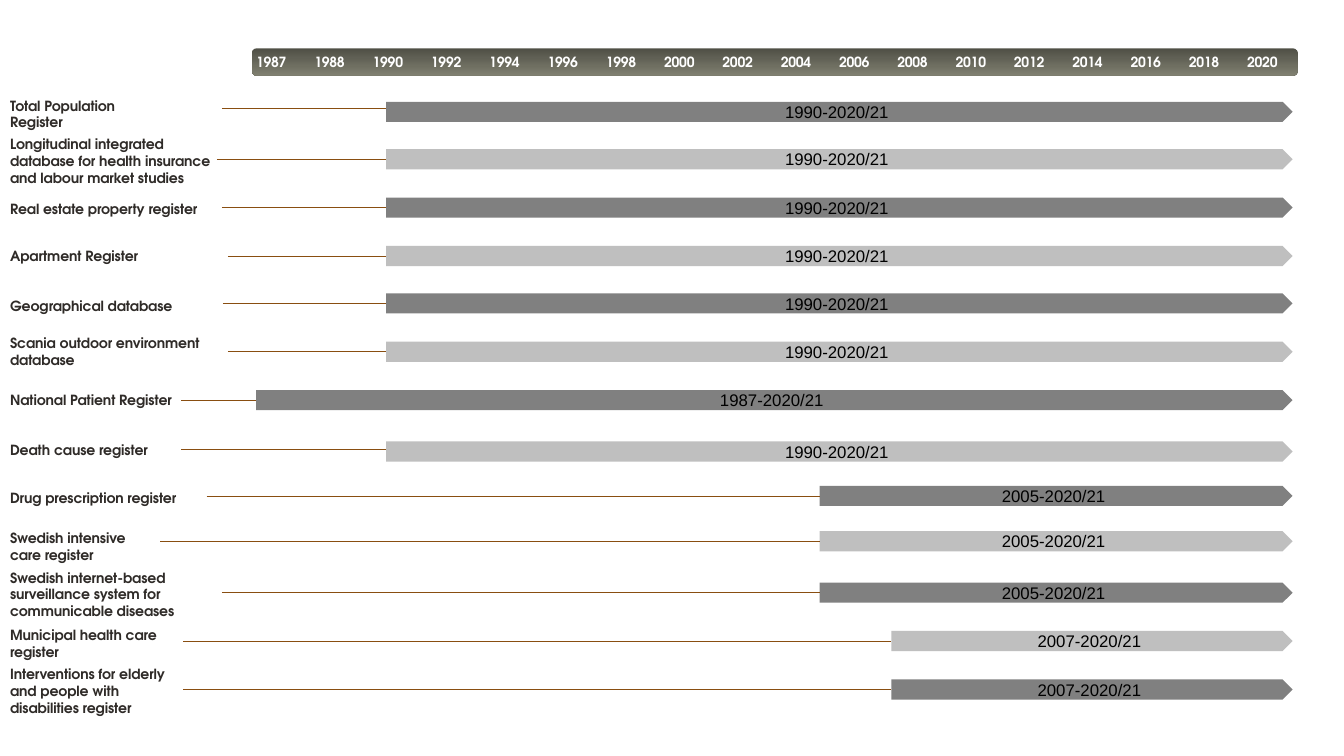
"""Build a timeline slide of the years covered by each Swedish register."""
from dataclasses import dataclass

from lxml import etree
from pptx import Presentation
from pptx.dml.color import RGBColor
from pptx.enum.shapes import MSO_CONNECTOR, MSO_SHAPE
from pptx.enum.text import MSO_ANCHOR, PP_ALIGN
from pptx.oxml.ns import qn
from pptx.shapes.autoshape import Shape
from pptx.slide import Slide
from pptx.util import Inches, Pt

ROUNDED, PENTAGON = MSO_SHAPE.ROUNDED_RECTANGLE, MSO_SHAPE.PENTAGON
STRAIGHT = MSO_CONNECTOR.STRAIGHT
MIDDLE, CENTER = MSO_ANCHOR.MIDDLE, PP_ALIGN.CENTER


@dataclass(frozen=True)
class Theme:
    """Colours, fonts and type sizes of the slide."""
    label_font: str = "TeX Gyre Adventor"
    bar_font: str = "Arial"
    label_size: float = 10
    bar_size: float = 12
    line_width: float = 0.5
    year: RGBColor = RGBColor(0xFF, 0xFF, 0xFF)
    label: RGBColor = RGBColor(0x2F, 0x2B, 0x28)
    bar_text: RGBColor = RGBColor(0, 0, 0)
    bars: tuple[RGBColor, RGBColor] = (
        RGBColor(0x80, 0x80, 0x80), RGBColor(0xBF, 0xBF, 0xBF))
    header: tuple[RGBColor, RGBColor] = (
        RGBColor(0x50, 0x50, 0x46), RGBColor(0x7F, 0x7F, 0x70))
    line: RGBColor = RGBColor(0x89, 0x4E, 0x11)


@dataclass(frozen=True)
class Register:
    """One row: label, first year, and positions in inches."""
    name: str
    first_year: int
    label_top: float
    label_width: float
    label_lines: int
    bar_top: float
    line_left: float
    line_lift: float = 0


THEME = Theme()
YEARS = (1987, 1988, *range(1990, 2021, 2))
FIRST_YEAR_LEFT, LAST_YEAR_LEFT, YEAR_WIDTH = 2.54, 12.37, 0.4
BAR_LEFT = {1987: 2.54, 1990: 3.83, 2005: 8.13, 2007: 8.84}
BAR_RIGHT, BAR_HEIGHT = 12.82, 0.2
LABEL_LEFT, LINE_HEIGHT = 0.1, 0.17

REGISTERS = (
    Register("Total Population Register", 1990, 0.96, 1.4, 2, 1.01, 2.2, 0.03),
    Register("Longitudinal integrated database for health insurance "
             "and labour market studies", 1990, 1.34, 2.04, 3, 1.48, 2.15),
    Register("Real estate property register", 1990, 1.99, 2.1, 1, 1.96, 2.2),
    Register("Apartment Register", 1990, 2.45, 2.15, 1, 2.44, 2.26),
    Register("Geographical database", 1990, 2.95, 2.11, 1, 2.91, 2.21),
    Register("Scania outdoor environment database", 1990, 3.32, 2.44, 2, 3.39, 2.26),
    Register("National Patient Register", 1987, 3.88, 1.7, 1, 3.87, 1.8),
    Register("Death cause register", 1990, 4.38, 1.7, 1, 4.38, 1.8, 0.02),
    Register("Drug prescription register", 2005, 4.85, 1.94, 1, 4.82, 2.05),
    Register("Swedish intensive care register", 2005, 5.25, 1.4, 2, 5.27, 1.59),
    Register("Swedish internet-based surveillance system for "
             "communicable diseases", 2005, 5.64, 2.1, 3, 5.78, 2.2),
    Register("Municipal health care register", 2007, 6.21, 1.71, 2, 6.26, 1.82),
    Register("Interventions for elderly and people with disabilities register",
             2007, 6.6, 1.71, 3, 6.74, 1.82),
)


def add_label(slide: Slide, text: str, left: float, top: float, width: float,
              lines: int, color: RGBColor, spacing: int) -> None:
    """Add a bold text box without margins; spacing is in hundredths of a point."""
    box = slide.shapes.add_textbox(
        Inches(left), Inches(top), Inches(width), Inches(lines * LINE_HEIGHT))
    frame = box.text_frame
    frame.margin_left = frame.margin_right = 0
    frame.margin_top = frame.margin_bottom = 0
    frame.word_wrap = True
    frame.vertical_anchor = MIDDLE
    paragraph = frame.paragraphs[0]
    run = paragraph.add_run()
    run.text = text
    run._r.get_or_add_rPr().set("spc", str(spacing))
    font = paragraph.font
    font.name, font.size, font.bold = THEME.label_font, Pt(THEME.label_size), True
    font.color.rgb = color


def add_plain_shape(slide: Slide, kind: MSO_SHAPE, left: float, top: float,
                    width: float, height: float) -> Shape:
    """Add a preset shape without outline or shadow."""
    shape = slide.shapes.add_shape(
        kind, Inches(left), Inches(top), Inches(width), Inches(height))
    shape.shadow.inherit = False
    shape.line.fill.background()
    return shape


def add_header(slide: Slide) -> None:
    """Add the gradient band with evenly spaced years."""
    band = add_plain_shape(slide, ROUNDED, 2.5, 0.48, 10.37, 0.27)
    band.fill.gradient()
    band.fill.gradient_angle = 270
    for stop, color in zip(band.fill.gradient_stops, THEME.header):
        stop.color.rgb = color
    step = (LAST_YEAR_LEFT - FIRST_YEAR_LEFT) / (len(YEARS) - 1)
    for index, year in enumerate(YEARS):
        add_label(slide, str(year), FIRST_YEAR_LEFT + index * step, 0.53,
                  YEAR_WIDTH, 1, THEME.year, -20)


def add_bar(slide: Slide, register: Register, color: RGBColor) -> None:
    """Add the arrow-shaped bar with its range of years."""
    left = BAR_LEFT[register.first_year]
    bar = add_plain_shape(slide, PENTAGON, left, register.bar_top,
                          BAR_RIGHT - left, BAR_HEIGHT)
    bar.fill.solid()
    bar.fill.fore_color.rgb = color
    bar.text_frame.vertical_anchor = MIDDLE
    paragraph = bar.text_frame.paragraphs[0]
    paragraph.text = f"{register.first_year}-2020/21"
    paragraph.alignment = CENTER
    font = paragraph.font
    font.name, font.size = THEME.bar_font, Pt(THEME.bar_size)
    font.color.rgb = THEME.bar_text


def add_leader(slide: Slide, register: Register) -> None:
    """Add the line that joins a label to its bar."""
    height = Inches(register.bar_top + BAR_HEIGHT / 2 - register.line_lift)
    leader = slide.shapes.add_connector(
        STRAIGHT, Inches(register.line_left), height,
        Inches(BAR_LEFT[register.first_year]), height)
    leader.line.color.rgb = THEME.line
    leader.line.width = Pt(THEME.line_width)
    etree.SubElement(leader._element.spPr, qn("a:effectLst"))


def main() -> None:
    """Build and save the presentation."""
    presentation = Presentation()
    presentation.slide_width, presentation.slide_height = Inches(13.33), Inches(7.5)
    slide = presentation.slides.add_slide(presentation.slide_layouts[6])
    add_header(slide)
    for index, register in enumerate(REGISTERS):
        add_label(slide, register.name, LABEL_LEFT, register.label_top,
                  register.label_width, register.label_lines, THEME.label, -5)
        add_bar(slide, register, THEME.bars[index % 2])
        add_leader(slide, register)
    presentation.save("out.pptx")


if __name__ == "__main__":
    main()
